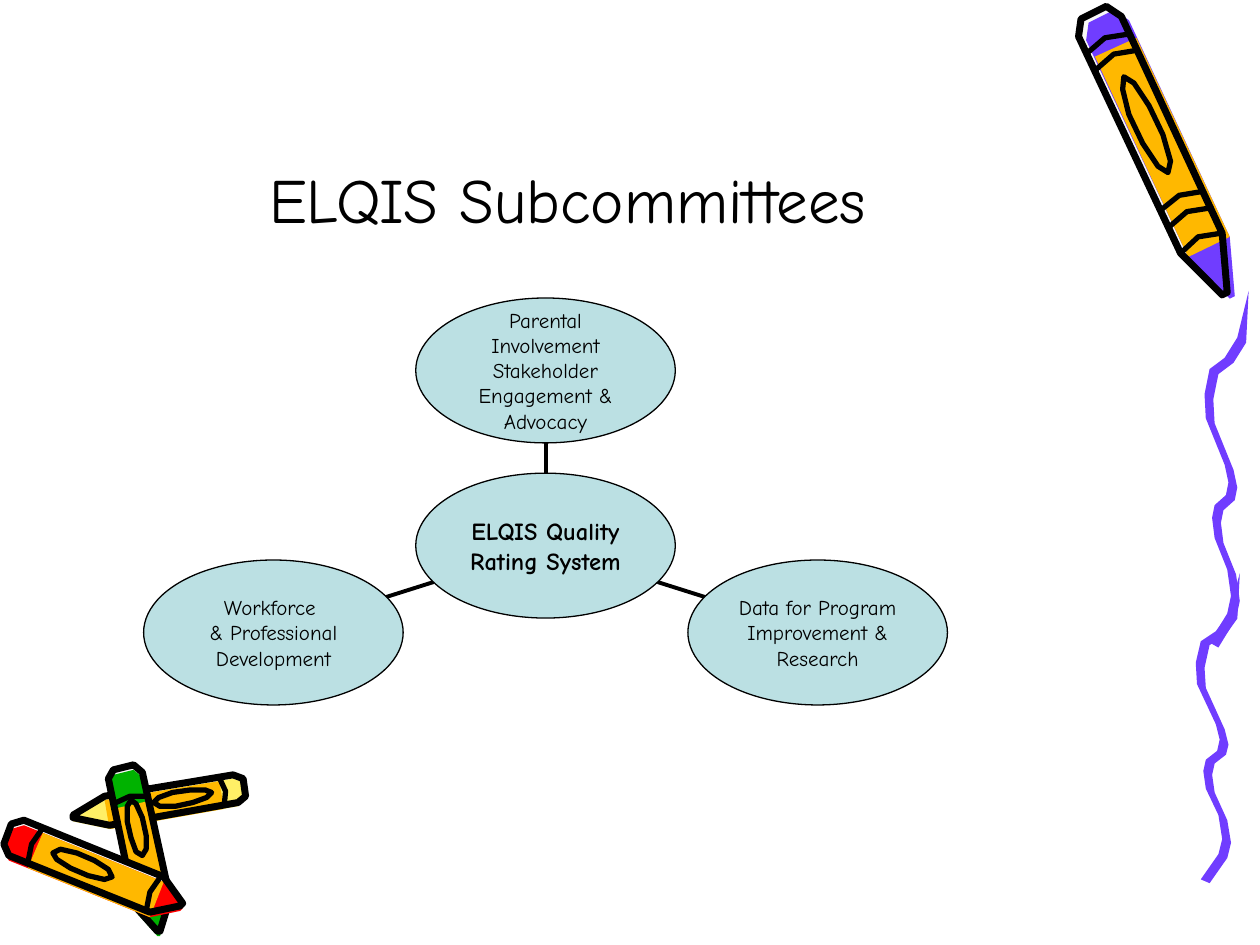
import math

import pptx
import pptx.util
import pptx.dml.color
import pptx.enum.shapes
import pptx.enum.text
import pptx.oxml.ns
import lxml.etree

PX = 9144  # 100 px to the inch
FONT = "Comic Neue"
BLACK, WHITE, PURPLE, ORANGE = "000000", "F8F8F8", "703DFF", "FFB800"
YELLOW, RED, GREEN, TEAL = "FFEF66", "FF0000", "00B200", "BBE0E3"

prs = pptx.Presentation()
prs.slide_width, prs.slide_height = 1000 * PX, 750 * PX
s = prs.slides.add_slide(prs.slide_layouts[6])


def rgb(value):
    return pptx.dml.color.RGBColor.from_string(value)


def put_text(tf, text, size=12, bold=False, anchor="MIDDLE", inset=0):
    """Fill a text frame with centred text, one paragraph per line."""
    tf.word_wrap = True
    tf.vertical_anchor = pptx.enum.text.MSO_ANCHOR[anchor]
    tf.margin_left = tf.margin_right = 2 * inset * PX
    tf.margin_top = tf.margin_bottom = inset * PX
    for i, line in enumerate(text.split("\n")):
        p = tf.add_paragraph() if i else tf.paragraphs[0]
        p.alignment = pptx.enum.text.PP_ALIGN.CENTER
        r = p.add_run()
        r.text = line
        r.font.name = FONT
        r.font.size = pptx.util.Pt(size)
        r.font.bold = bold
        r.font.color.rgb = rgb(BLACK)


# Every outline to draw: (points in px, fill or None, ink width in points or None)
outlines = []

# Crayons: blunt end, tip, thickness, colour, shift of the colour against the ink,
# then places along the axis from 0 (blunt end) to 1 (tip): shoulder, label, bands
crayons = [
    ((194, 625), (58, 648), 23, YELLOW, (0, 3), 0.8, 0.36, [0.13]),
    ((98, 609), (126, 739), 28, GREEN, (0, 4), 0.82, 0.37, [0.2]),
    ((6, 662), (144, 718), 30, RED, (0, 4), 0.86, 0.43, [0.16, 0.84]),
    ((868, 10), (972, 233), 37, PURPLE, (6, 3), 0.82, 0.4, [0.11, 0.17, 0.67, 0.73, 0.82]),
]
for (x0, y0), (x1, y1), thickness, colour, shift, shoulder, label, bands in crayons:
    dx, dy = x1 - x0, y1 - y0
    across = thickness / math.hypot(dx, dy)

    # Parts are (along, across) points; across runs from -0.5 to 0.5
    body = [(0, -0.3), (0, 0.3), (0.05, 0.5), (shoulder, 0.5),
            (1, 0.05), (1, -0.05), (shoulder, -0.5), (0.05, -0.5)]
    wrapper = [(a, v) for a, v in ((bands[0], -0.5), (bands[0], 0.5), (shoulder, 0.5), (shoulder, -0.5))]
    turns = [math.tau * i / 10 for i in range(10)]
    oval = [(label + 0.17 * math.cos(t), 0.24 * math.sin(t)) for t in turns]
    parts = [
        (body, WHITE, None, (0, 0)),
        (body, colour, None, shift),
        (wrapper, ORANGE, None, shift),
        (body, None, 4, (0, 0)),
        (oval, None, 3, (0, 0)),
    ]
    for band in bands:
        bent = [(band, -0.5), (band - 0.02, 0), (band, 0.5), (band - 0.02, 0)]
        parts.append((bent, None, 3, (0, 0)))

    for part, fill, ink, (sx, sy) in parts:
        points = [(x0 + a * dx - v * across * dy + sx, y0 + a * dy + v * across * dx + sy) for a, v in part]
        outlines.append((points, fill, ink))

# Squiggle: one wave drawn twice, the lower copy shorter and a little to the left;
# the ribbon is the wave and its way back, moved aside, closing to a point at the top
WAVE_TOP = 231
wave = [(960, 510), (974, 487), (977, 473), (974, 452), (964, 427), (962, 411), (964, 401), (973, 393),
        (975, 383), (972, 369), (957, 332), (956, 313), (960, 293), (972, 284), (982, 268), (991, WAVE_TOP)]
way_back = [(x + 7, y + 4) for x, y in reversed(wave[:-1])]
for left, top, stretch in ((-7, 455, 0.87), (0, WAVE_TOP, 1)):
    ribbon = [(x + left, top + (y - WAVE_TOP) * stretch) for x, y in wave + way_back]
    outlines.append((ribbon, PURPLE, None))

for points, fill, ink in outlines:
    fb = s.shapes.build_freeform(*points[0], scale=PX)
    fb.add_line_segments(points[1:], close=True)
    sp = fb.convert_to_shape()
    sp.shadow.inherit = False
    if fill:
        sp.fill.solid()
        sp.fill.fore_color.rgb = rgb(fill)
    else:
        sp.fill.background()
    if ink:
        sp.line.color.rgb = rgb(BLACK)
        sp.line.width = pptx.util.Pt(ink)
    else:
        sp.line.fill.background()

# Title
tb = s.shapes.add_textbox(75 * PX, 17 * PX, 751 * PX, 175 * PX)
put_text(tb.text_frame, "ELQIS Subcommittees", size=36, anchor="BOTTOM", inset=5)

# Subcommittees around the rating system: ellipse centre, text, spoke from hub to ellipse
OVAL_W, OVAL_H = 206, 115
HUB_X, HUB_Y = 433, 433
REACH = 216  # sideways distance from the hub to the lower ellipses
nodes = [
    (HUB_X - REACH, 502, "Workforce \n& Professional Development", (344, 462, 306, 474), {}),
    (HUB_X + REACH, 502, "Data for Program Improvement & Research", (522, 462, 560, 474), {}),
    (HUB_X, 294, "Parental Involvement\nStakeholder Engagement & Advocacy", (HUB_X, 376, HUB_X, 351), {}),
    (HUB_X, HUB_Y, "ELQIS Quality Rating System", None, {"size": 14, "bold": True}),
]
for x, y, text, spoke, style in nodes:
    if spoke:
        ends = [v * PX for v in spoke]
        cx = s.shapes.add_connector(pptx.enum.shapes.MSO_CONNECTOR.STRAIGHT, *ends)
        cx.line.color.rgb = rgb(BLACK)
        cx.line.width = pptx.util.Pt(2.25)
        lxml.etree.SubElement(cx._element.spPr, pptx.oxml.ns.qn("a:effectLst"))
    left, top = x * PX - OVAL_W * PX // 2, y * PX - OVAL_H * PX // 2
    sp = s.shapes.add_shape(pptx.enum.shapes.MSO_SHAPE.OVAL, left, top, OVAL_W * PX, OVAL_H * PX)
    sp.shadow.inherit = False
    sp.fill.solid()
    sp.fill.fore_color.rgb = rgb(TEAL)
    sp.line.color.rgb = rgb(BLACK)
    sp.line.width = pptx.util.Pt(0.75)
    put_text(sp.text_frame, text, **style)

prs.save("out.pptx")
